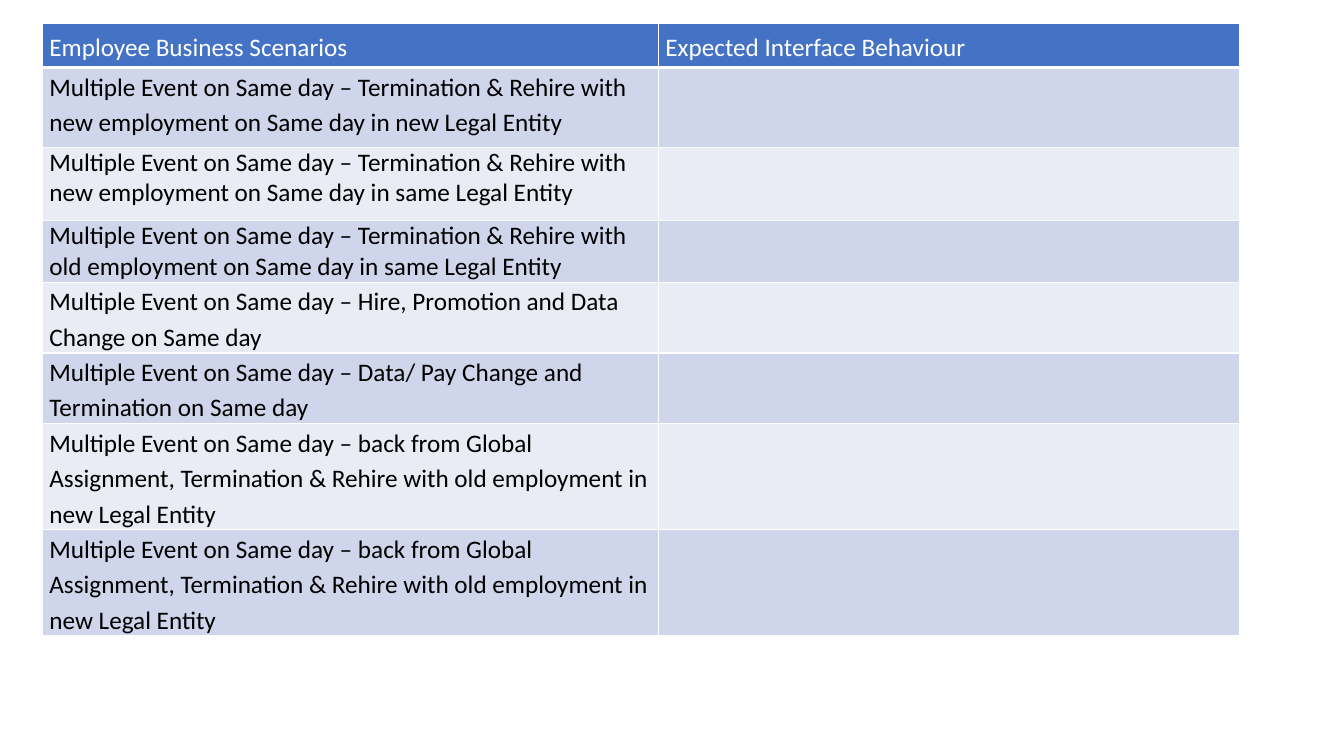
import pptx
import pptx.util
import pptx.dml.color
import pptx.enum.text
import pptx.oxml
import pptx.oxml.ns

Inches, Pt = pptx.util.Inches, pptx.util.Pt
Align, Anchor = pptx.enum.text.PP_ALIGN, pptx.enum.text.MSO_ANCHOR

HEAD = ("Employee Business Scenarios", "Expected Interface Behaviour")
SAME = "Multiple Event on Same day – "
BACK = ("back from Global Assignment, Termination & Rehire with old "
        "employment in new Legal Entity")
# scenario, row height, loose line spacing
CASES = [
    ("Termination & Rehire with new employment on Same day in new Legal Entity", 0.79, True),
    ("Termination & Rehire with new employment on Same day in same Legal Entity", 0.73, False),
    ("Termination & Rehire with old employment on Same day in same Legal Entity", 0.61, False),
    ("Hire, Promotion and Data Change on Same day", 0.7, True),
    ("Data/ Pay Change and Termination on Same day", 0.7, True),
    (BACK, 1.05, True),
    (BACK, 1.05, True),
]
COLORS = {"head": "4472C4", "odd": "CFD5EA", "even": "E9EBF5",
          "white": "FFFFFF", "black": "000000"}
WIDTHS = (6.11, 5.76)
HEAD_H = 0.44
LEFT, TOP = 0.42, 0.23


def rgb(name):
    return pptx.dml.color.RGBColor.from_string(COLORS[name])


def write(cell, text, color="black", loose=True, align=Align.LEFT, anchor=Anchor.TOP):
    cell.margin_left = cell.margin_right = Inches(0.07)
    cell.margin_top = cell.margin_bottom = 0
    cell.vertical_anchor = anchor
    para = cell.text_frame.paragraphs[0]
    para.alignment = align
    if loose:
        para.line_spacing = 1.15
        para.space_after = Pt(10)
    run = para.add_run()
    run.text = text
    run.font.name = "Calibri"
    run.font.size = Pt(18)
    run.font.bold = False
    run.font.color.rgb = rgb(color)


def paint(cell, fill, top=1, bottom=1):
    """Set white borders, widths in points, and then the fill."""
    props = cell._tc.get_or_add_tcPr()
    for side, width in zip("LRTB", (1, 1, top, bottom)):
        props.append(pptx.oxml.parse_xml(
            f'<a:ln{side} {pptx.oxml.ns.nsdecls("a")} w="{Pt(width)}"><a:solidFill>'
            f'<a:srgbClr val="{COLORS["white"]}"/></a:solidFill></a:ln{side}>'))
    cell.fill.solid()
    cell.fill.fore_color.rgb = rgb(fill)


def main():
    deck = pptx.Presentation()
    deck.slide_width, deck.slide_height = Inches(13.33), Inches(7.5)
    slide = deck.slides.add_slide(deck.slide_layouts[6])
    heights = [HEAD_H] + [high for _, high, _ in CASES]
    table = slide.shapes.add_table(
        len(heights), len(WIDTHS), Inches(LEFT), Inches(TOP),
        Inches(sum(WIDTHS)), Inches(sum(heights))).table
    for col, width in zip(table.columns, WIDTHS):
        col.width = Inches(width)
    for row, high in zip(table.rows, heights):
        row.height = Inches(high)

    for col, text in enumerate(HEAD):
        cell = table.cell(0, col)
        paint(cell, "head", bottom=3)
        write(cell, text, color="white", align=Align.JUSTIFY, anchor=Anchor.MIDDLE)
    for row, (text, _, loose) in enumerate(CASES, 1):
        for col in range(len(WIDTHS)):
            paint(table.cell(row, col), "odd" if row % 2 else "even",
                  top=3 if row == 1 else 1)
        write(table.cell(row, 0), SAME + text, loose=loose)
    deck.save("out.pptx")


if __name__ == "__main__":
    main()
